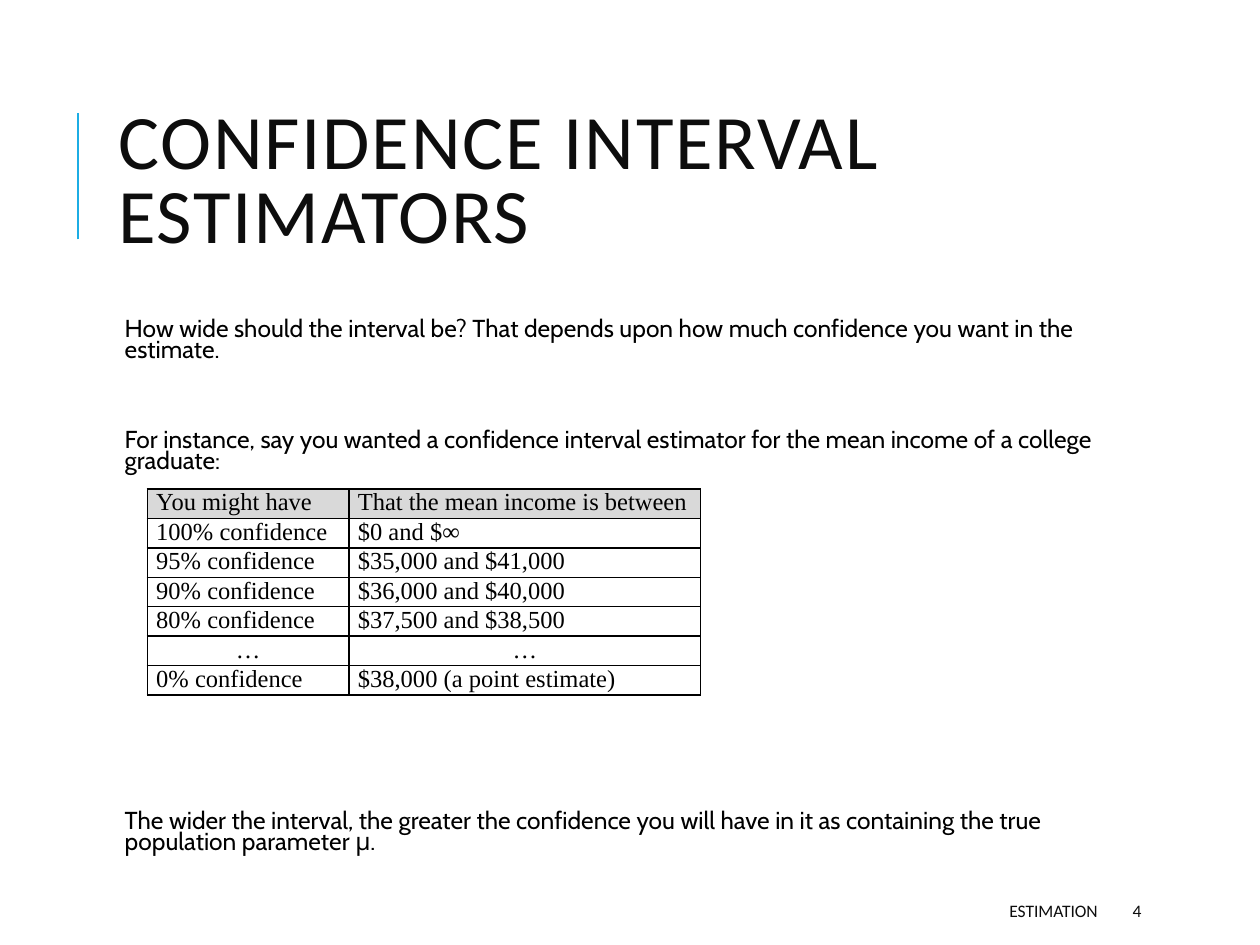
from lxml import etree
from pptx import Presentation, util as u
from pptx.dml.color import RGBColor
from pptx.enum import shapes, text
from pptx.oxml.ns import qn

COLORS = {"ink": "000000", "heading": "0D0D0D", "accent": "1CADE4",
          "header": "D9D9D9", "paper": "FFFFFF"}


def rgb(name):
    return RGBColor.from_string(COLORS[name])


def write(paragraph, wording, font, size, color, **formats):
    run = paragraph.add_run()
    run.text = wording
    run.font.color.rgb = rgb(color)
    for name, value in {"name": font, "size": u.Pt(size)}.items():
        setattr(run.font, name, value)
    for name, value in formats.items():
        setattr(paragraph, name, value)
    return run


deck = Presentation()
deck.slide_width, deck.slide_height = u.Inches(10), u.Inches(7.5)
slide = deck.slides.add_slide(deck.slide_layouts[5])

accent = slide.shapes.add_connector(
    shapes.MSO_CONNECTOR.STRAIGHT,
    u.Inches(0.62), u.Inches(1.9), u.Inches(0.62), u.Inches(0.9))
accent.line.color.rgb = rgb("accent")
accent.line.width = u.Pt(1.5)
etree.SubElement(accent._element.spPr, qn("a:effectLst"))

title = slide.shapes.title
for name, value in {"left": 0.84, "top": 0.64, "width": 7.97, "height": 1.64}.items():
    setattr(title, name, u.Inches(value))
for name, value in {"vertical_anchor": text.MSO_ANCHOR.MIDDLE, "word_wrap": True,
                    "auto_size": text.MSO_AUTO_SIZE.NONE}.items():
    setattr(title.text_frame, name, value)
heading = write(title.text_frame.paragraphs[0], "CONFIDENCE INTERVAL ESTIMATORS",
                "Calibri", 44, "heading",
                alignment=text.PP_ALIGN.LEFT, line_spacing=0.8)
heading.font._element.set("spc", "100")

body = slide.shapes.add_textbox(
    u.Inches(0.84), u.Inches(2.5), u.Inches(7.97), u.Inches(4.4)).text_frame
for name, value in {"word_wrap": True, "margin_left": u.Inches(0.15),
                    "margin_right": u.Inches(0.05), "margin_top": u.Inches(0.05),
                    "margin_bottom": u.Inches(0.05)}.items():
    setattr(body, name, value)
statements = [
    ("How wide should the interval be? That depends upon how much confidence "
     "you want in the estimate.", 12),
    ("For instance, say you wanted a confidence interval estimator for the mean "
     "income of a college graduate:", 38),
    ("The wider the interval, the greater the confidence you will have in it as "
     "containing the true population parameter μ.", 192),
]
for index, (statement, gap) in enumerate(statements):
    paragraph = body.add_paragraph() if index else body.paragraphs[0]
    write(paragraph, statement, "Cabin", 14, "ink", line_spacing=0.7,
          space_before=u.Pt(gap), space_after=u.Pt(2))

for left, width, wording, alignment in [
        (3.97, 4.84, "ESTIMATION", text.PP_ALIGN.RIGHT),
        (8.89, 0.8, "4", text.PP_ALIGN.LEFT)]:
    footer = slide.shapes.add_textbox(
        u.Inches(left), u.Inches(7.08), u.Inches(width), u.Inches(0.3)).text_frame
    footer.word_wrap = True
    footer.vertical_anchor = text.MSO_ANCHOR.MIDDLE
    write(footer.paragraphs[0], wording, "Calibri", 10, "heading", alignment=alignment)

intervals = [
    ("You might have", "That the mean income is between"),
    ("100% confidence", "$0 and $∞"),
    ("95% confidence", "$35,000 and $41,000"),
    ("90% confidence", "$36,000 and $40,000"),
    ("80% confidence", "$37,500 and $38,500"),
    ("…", "…"),
    ("0% confidence", "$38,000 (a point estimate)"),
]
row_height = 0.21
table = slide.shapes.add_table(
    len(intervals), 2, u.Inches(1.17), u.Inches(3.88),
    u.Inches(4.39), u.Inches(row_height * len(intervals))).table
table.first_row = table.horz_banding = False
for column, width in zip(table.columns, (1.6, 2.79)):
    column.width = u.Inches(width)

for row, entries in enumerate(intervals):
    table.rows[row].height = u.Inches(row_height)
    for column, entry in enumerate(entries):
        cell = table.cell(row, column)
        for name, value in {"margin_left": 0.07, "margin_right": 0.07,
                            "margin_top": 0, "margin_bottom": 0}.items():
            setattr(cell, name, u.Inches(value))
        alignment = text.PP_ALIGN.CENTER if entry == "…" else text.PP_ALIGN.LEFT
        write(cell.text_frame.paragraphs[0], entry, "Times New Roman", 14, "ink",
              alignment=alignment)
        properties = cell._tc.get_or_add_tcPr()
        for side in ("lnL", "lnR", "lnT", "lnB"):
            border = etree.SubElement(properties, qn(f"a:{side}"), w=str(u.Pt(1)))
            fill = etree.SubElement(border, qn("a:solidFill"))
            etree.SubElement(fill, qn("a:srgbClr"), val=COLORS["ink"])
        cell.fill.solid()
        cell.fill.fore_color.rgb = rgb("paper" if row else "header")

deck.save("out.pptx")
